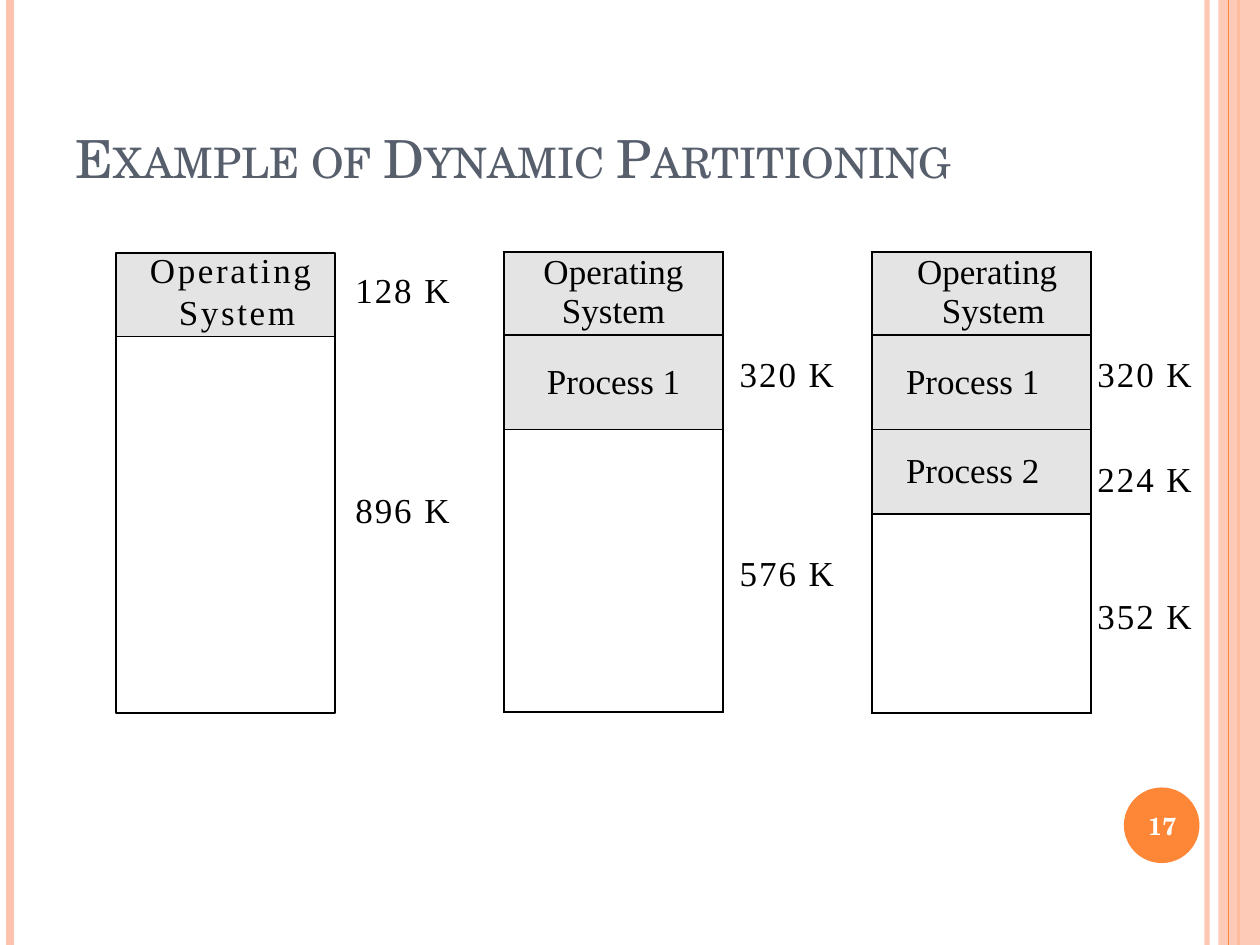
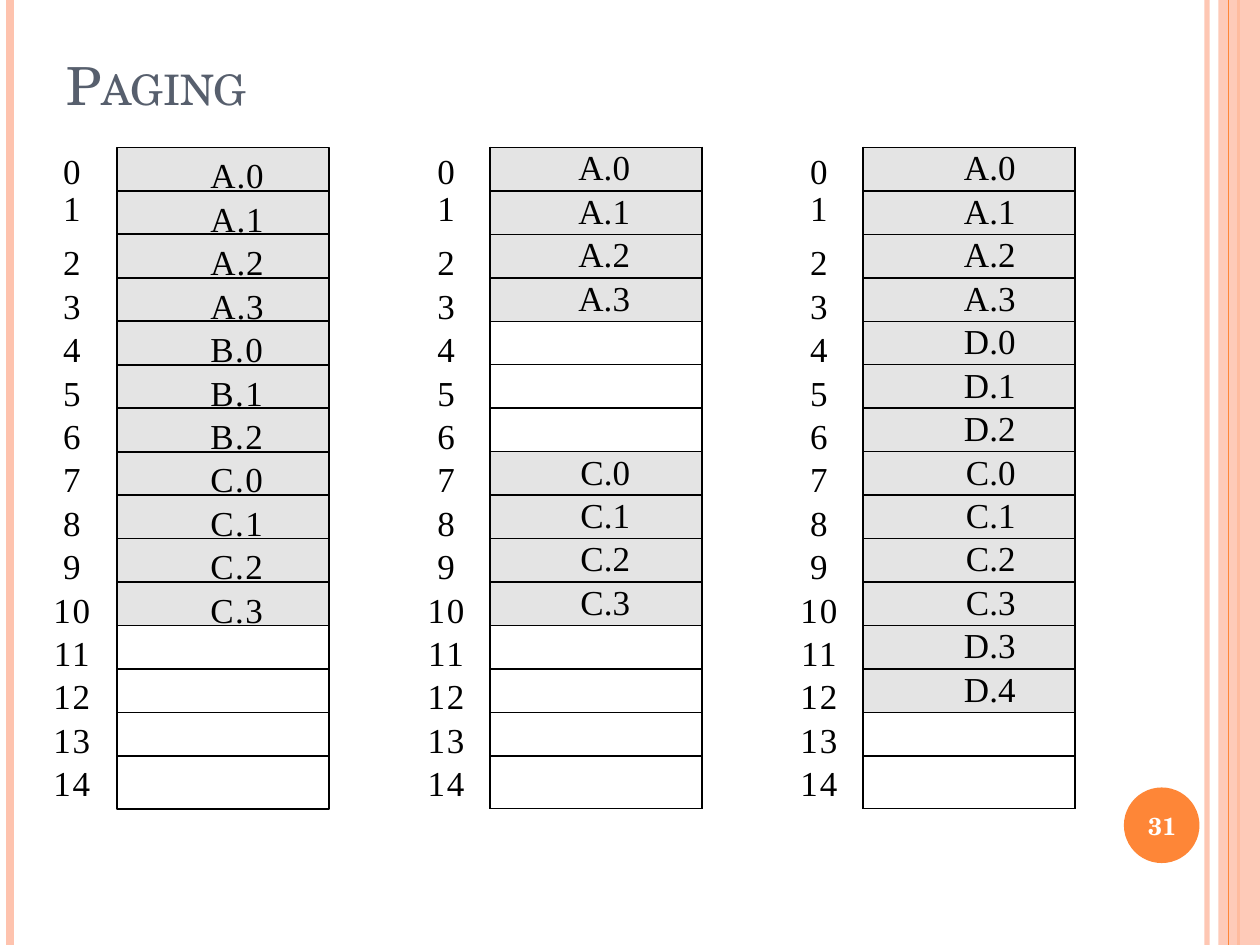
"""Build two slides on memory management: dynamic partitioning and paging."""
from lxml.etree import SubElement
from pptx import Presentation
from pptx.dml.color import RGBColor
from pptx.enum.shapes import MSO_CONNECTOR, MSO_SHAPE
from pptx.enum.text import MSO_ANCHOR, MSO_AUTO_SIZE, PP_ALIGN
from pptx.oxml.ns import qn
from pptx.util import Inches, Pt

COLORS = {"pink": "FEC3AE", "orange": "FE8637", "title": "575F6D",
          "gray": "E4E4E4", "black": "000000", "white": "FFFFFF"}
RGB = {name: RGBColor.from_string(value) for name, value in COLORS.items()}
HEAD, BODY = "TeX Gyre Schola", "Times New Roman"


def write(p, text, font=BODY, size=20, color="black", spacing=0.0,
          align=PP_ALIGN.LEFT, line=None, before=0):
    r = p.add_run()
    r.text = text
    r.font.name, r.font.size = font, Pt(size)
    r.font.color.rgb = RGB[color]
    if spacing:
        r.font._element.set("spc", str(round(spacing * 100)))
    p.alignment = align
    p.space_before = Pt(before)
    if line:
        p.line_spacing = Pt(line)
    return r


def add_line(s, x1, y1, x2, y2, color="black", width=1):
    c = s.shapes.add_connector(MSO_CONNECTOR.STRAIGHT, Inches(x1), Inches(y1),
                               Inches(x2), Inches(y2))
    c.line.color.rgb = RGB[color]
    c.line.width = Pt(width)
    SubElement(c._element.spPr, qn("a:effectLst"))
    return c


prs = Presentation()
prs.slide_width, prs.slide_height = Inches(10), Inches(7.5)
layout = prs.slide_layouts[5]

slides = []
for title, number, left, top, height in [
    ("Example of Dynamic Partitioning", 17, 0.5, 0.3, 1.25),
    ("Paging", 31, 0.43, 0.21, 0.76),
]:
    s = prs.slides.add_slide(layout)
    slides.append(s)
    if len(slides) == 1:
        bands = [add_line(s, x, 0, x, 7.5, color, width) for x, color, width in [
            (9.58, "pink", 3), (0.08, "pink", 4.5),
            (9.83, "orange", 1.5), (9.75, "orange", 0.75)]]
        for kind, box, color in [
            (MSO_SHAPE.RECTANGLE, (9.67, 0, 0.33, 7.5), "pink"),
            (MSO_SHAPE.OVAL, (8.92, 6.25, 0.6, 0.6), "orange"),
        ]:
            sp = s.shapes.add_shape(kind, *map(Inches, box))
            sp.fill.solid()
            sp.fill.fore_color.rgb = RGB[color]
            sp.line.fill.background()
            sp.shadow.inherit = False
            bands.append(sp)
        edge, left_band, thick, thin, panel, badge = bands
        for sp, alpha in [(edge, 93), (panel, 87)]:
            clr = next(sp._element.spPr.iter(qn("a:srgbClr")))
            SubElement(clr, qn("a:alpha"), val=str(alpha * 1000))
        for sp in (edge, left_band, thick, panel, thin, badge):
            layout.shapes._spTree.append(sp._element)

    sp = s.shapes.title
    sp.left, sp.top = Inches(left), Inches(top)
    sp.width, sp.height = Inches(8.17), Inches(height)
    tf = sp.text_frame
    tf.auto_size = MSO_AUTO_SIZE.NONE
    tf.vertical_anchor = MSO_ANCHOR.BOTTOM
    r = write(tf.paragraphs[0], title, HEAD, 30, "title")
    r.font._element.set("cap", "small")

    tf = s.shapes.add_textbox(Inches(8.89), Inches(6.27), Inches(0.67),
                              Inches(0.57)).text_frame
    tf.word_wrap = True
    tf.vertical_anchor = MSO_ANCHOR.MIDDLE
    write(tf.paragraphs[0], str(number), HEAD, 14, "white",
          align=PP_ALIGN.CENTER).font.bold = True

partitioning, paging = slides
pitch, page_top = 0.345, 1.17

for s, box, filled in [
    (partitioning, (0.92, 2, 1.74, 0.67), True),
    (partitioning, (0.92, 2.01, 1.74, 3.65), False),
    (paging, (0.93, page_top, 1.68, 11 * pitch), True),
    (paging, (0.93, page_top, 1.68, 5.25), False),
]:
    sp = s.shapes.add_shape(MSO_SHAPE.RECTANGLE, *map(Inches, box))
    sp.shadow.inherit = False
    if filled:
        sp.fill.solid()
        sp.fill.fore_color.rgb = RGB["gray"]
        sp.line.fill.background()
    else:
        sp.fill.background()
        sp.line.color.rgb = RGB["black"]
        sp.line.width = Pt(1)

add_line(partitioning, 0.93, 2.67, 2.66, 2.67)
for i in range(1, 15):
    y = page_top + i * pitch
    add_line(paging, 0.93, y, 2.61, y)

a_pages = [f"A.{i}" for i in range(4)]
b_pages = [f"B.{i}" for i in range(3)]
c_pages = [f"C.{i}" for i in range(4)]
d_pages = [f"D.{i}" for i in range(5)]

labels = [(partitioning, x, y, 0.78, text, 1.1) for x, y, text in [
    (2.82, 2.13, "128 K"), (2.82, 3.88, "896 K"),
    (5.87, 2.8, "320 K"), (5.87, 4.38, "576 K"),
    (8.71, 2.8, "320 K"), (8.71, 3.63, "224 K"), (8.71, 4.72, "352 K")]]
labels.append((partitioning, 1.17, 1.97, 1.36, "Operating System", 1.5))
labels += [(paging, 1.67, 1.22 + i * pitch, 0.46, text, 0.5 if text[0] == "A" else 0.8)
           for i, text in enumerate(a_pages + b_pages + c_pages)]
frames = [f"{i}" for i in range(15)]
labels += [(paging, x, 1.22, 0.34, frames, 1.1) for x in (0.4, 3.37, 6.33)]

for s, x, y, width, text, spacing in labels:
    height = 5.18 if text is frames else 0.68 if "System" in text else 0.34
    tf = s.shapes.add_textbox(Inches(x), Inches(y), Inches(width),
                              Inches(height)).text_frame
    tf.word_wrap = True
    tf.margin_left = tf.margin_right = tf.margin_top = tf.margin_bottom = 0
    if text is frames:
        for i, frame in enumerate(frames):
            p = tf.add_paragraph() if i else tf.paragraphs[0]
            write(p, frame, spacing=spacing, align=PP_ALIGN.CENTER,
                  line=21.4 if i < 2 else 24,
                  before=0 if i < 2 else 7 if i == 2 else 0.8)
    else:
        p = tf.paragraphs[0]
        write(p, text, spacing=spacing, line=24)
        if "System" in text:
            pPr = p._p.get_or_add_pPr()
            pPr.set("marL", str(Inches(0.25)))
            pPr.set("indent", str(Inches(-0.23)))

page_rows = [pitch] * 14 + [0.42]
system = "Operating\nSystem"
tables = [
    (partitioning, 4, 2, 1.74, [0.66, 0.75, 2.24],
     [system, "Process 1", ""], (0, 0), 0),
    (partitioning, 6.92, 2, 1.74, [0.66, 0.75, 0.67, 1.58],
     [system, "Process 1", "Process 2", ""], (0.09, 0.19), 0.14),
    (paging, 3.89, page_top, 1.68, page_rows,
     a_pages + [""] * 3 + c_pages + [""] * 4, None, 0.57),
    (paging, 6.85, page_top, 1.68, page_rows,
     a_pages + d_pages[:3] + c_pages + d_pages[3:] + [""] * 2, None, 0.47),
]
for s, x, y, width, heights, texts, indents, margin in tables:
    table = s.shapes.add_table(len(heights), 1, Inches(x), Inches(y), Inches(width),
                               Inches(sum(heights))).table
    table.first_row = table.horz_banding = False
    table.columns[0].width = Inches(width)
    for row, height, text in zip(table.rows, heights, texts):
        row.height = Inches(height)
        cell = row.cells[0]
        cell.margin_left = cell.margin_top = cell.margin_bottom = 0
        cell.margin_right = 0 if text == system else Inches(margin)
        cell.vertical_anchor = MSO_ANCHOR.MIDDLE if indents else MSO_ANCHOR.TOP
        for side in ("lnL", "lnR", "lnT", "lnB"):
            ln = SubElement(cell._tc.get_or_add_tcPr(), qn(f"a:{side}"), w=str(Pt(1)))
            SubElement(SubElement(ln, qn("a:solidFill")), qn("a:srgbClr"),
                       val=COLORS["black"])
        if not text:
            cell.fill.background()
            continue
        cell.fill.solid()
        cell.fill.fore_color.rgb = RGB["gray"]
        tf = cell.text_frame
        for i, part in enumerate(text.split("\n")):
            p = tf.add_paragraph() if i else tf.paragraphs[0]
            if indents:
                write(p, part, align=PP_ALIGN.CENTER,
                      line=20.5 if part == "Operating" else None)
                if text == system:
                    p._p.get_or_add_pPr().set("marL", str(Inches(indents[i])))
            else:
                write(p, part, align=PP_ALIGN.RIGHT, line=23.4)

prs.save("out.pptx")
